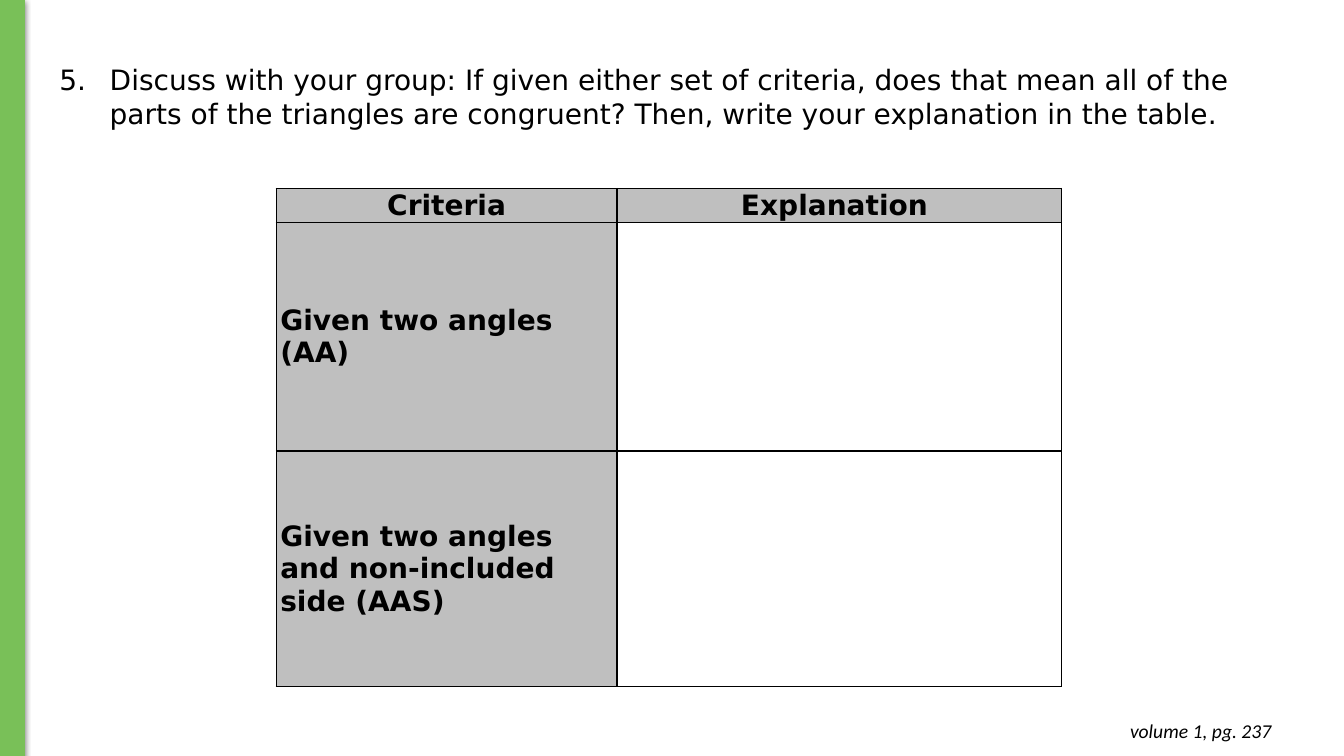
import pptx
import pptx.dml.color
import pptx.enum.shapes
import pptx.enum.text
import pptx.oxml
import pptx.oxml.ns
import pptx.util
from pptx.util import Inches

BLACK = pptx.dml.color.RGBColor(0x00, 0x00, 0x00)
GREEN = pptx.dml.color.RGBColor(0x79, 0xC0, 0x58)
GRAY = pptx.dml.color.RGBColor(0xBF, 0xBF, 0xBF)
ALIGN = pptx.enum.text.PP_ALIGN
NAMESPACE = pptx.oxml.ns.nsdecls("a")


class LessonSlide:
    body_font = "DejaVu Sans"
    body_size = 20

    def __init__(self, presentation):
        self.slide = presentation.slides.add_slide(presentation.slide_layouts[6])

    def add_text(self, paragraph, text, align=ALIGN.LEFT, font=body_font,
                 size=body_size, bold=False, italic=False):
        paragraph.alignment = align
        run = paragraph.add_run()
        run.text = text
        run.font.name = font
        run.font.size = pptx.util.Pt(size)
        run.font.bold = bold
        run.font.italic = italic
        run.font.color.rgb = BLACK

    def bar(self, left, top, width, height):
        shape = self.slide.shapes.add_shape(
            pptx.enum.shapes.MSO_SHAPE.RECTANGLE,
            Inches(left), Inches(top), Inches(width), Inches(height))
        shape.fill.solid()
        shape.fill.fore_color.rgb = GREEN
        shape.line.color.rgb = GREEN
        shape.line.width = pptx.util.Pt(0.75)
        shape.shadow.inherit = False
        effects = shape.element.spPr.find(pptx.oxml.ns.qn("a:effectLst"))
        effects.append(pptx.oxml.parse_xml(
            f'<a:outerShdw {NAMESPACE} blurRad="{pptx.util.Pt(4.5)}" '
            f'dist="{pptx.util.Pt(1.5)}" dir="5400000" rotWithShape="0">'
            f'<a:srgbClr val="{BLACK}"><a:alpha val="50000"/></a:srgbClr>'
            '</a:outerShdw>'))

    def text_box(self, left, top, width, height, inset=None):
        box = self.slide.shapes.add_textbox(
            Inches(left), Inches(top), Inches(width), Inches(height))
        frame = box.text_frame
        frame.word_wrap = True
        frame.auto_size = pptx.enum.text.MSO_AUTO_SIZE.SHAPE_TO_FIT_TEXT
        if inset is not None:
            frame.margin_left = frame.margin_right = Inches(inset)
            frame.margin_top = frame.margin_bottom = Inches(inset)
        return frame.paragraphs[0]

    def number(self, paragraph, start, indent):
        properties = paragraph._p.get_or_add_pPr()
        properties.set("marL", str(Inches(indent)))
        properties.set("indent", str(-Inches(indent)))
        for xml in (
                f'<a:buClr {NAMESPACE}><a:srgbClr val="{BLACK}"/></a:buClr>',
                f'<a:buFont {NAMESPACE} typeface="{self.body_font}"/>',
                f'<a:buAutoNum {NAMESPACE} type="arabicPeriod" startAt="{start}"/>'):
            properties.append(pptx.oxml.parse_xml(xml))

    def border(self, cell):
        properties = cell._tc.get_or_add_tcPr()
        for index, side in enumerate(("lnL", "lnR", "lnT", "lnB")):
            properties.insert(index, pptx.oxml.parse_xml(
                f'<a:{side} {NAMESPACE} w="{pptx.util.Pt(1)}"><a:solidFill>'
                f'<a:srgbClr val="{BLACK}"/></a:solidFill></a:{side}>'))

    def table(self, left, top, widths, heights, rows):
        table = self.slide.shapes.add_table(
            len(heights), len(widths), Inches(left), Inches(top),
            Inches(sum(widths)), Inches(sum(heights))).table
        for column, width in zip(table.columns, widths):
            column.width = Inches(width)
        for row, height in zip(table.rows, heights):
            row.height = Inches(height)
        for row_index, texts in enumerate(rows):
            for column_index, text in enumerate(texts):
                cell = table.cell(row_index, column_index)
                self.border(cell)
                if not text:
                    cell.fill.background()
                    continue
                cell.fill.solid()
                cell.fill.fore_color.rgb = GRAY
                cell.margin_left = cell.margin_right = Inches(0.04)
                cell.margin_top = cell.margin_bottom = 0
                cell.vertical_anchor = pptx.enum.text.MSO_ANCHOR.MIDDLE
                align = ALIGN.CENTER if row_index == 0 else ALIGN.LEFT
                self.add_text(cell.text_frame.paragraphs[0], text, align, bold=True)


def main():
    presentation = pptx.Presentation()
    presentation.slide_width = Inches(13.33)
    presentation.slide_height = Inches(7.5)
    lesson = LessonSlide(presentation)

    # Side bar and page reference
    lesson.bar(0, 0, 0.24, 7.51)
    reference = lesson.text_box(9.83, 7.03, 2.88, 0.44, inset=0.1)
    lesson.add_text(reference, "volume 1, pg. 237", ALIGN.RIGHT, "Calibri", 14, italic=True)

    # Numbered question
    question = lesson.text_box(0.49, 0.57, 12.46, 0.77)
    lesson.number(question, start=5, indent=0.5)
    lesson.add_text(question, "Discuss with your group: If given either set of criteria, "
                    "does that mean all of the parts of the triangles are congruent? "
                    "Then, write your explanation in the table.")

    # Criteria table
    lesson.table(2.74, 1.87, (3.38, 4.41), (0.33, 2.27, 2.34), (
        ("Criteria", "Explanation "),
        ("Given two angles (AA)", ""),
        ("Given two angles and non-included side (AAS)", "")))

    presentation.save("out.pptx")


if __name__ == "__main__":
    main()
